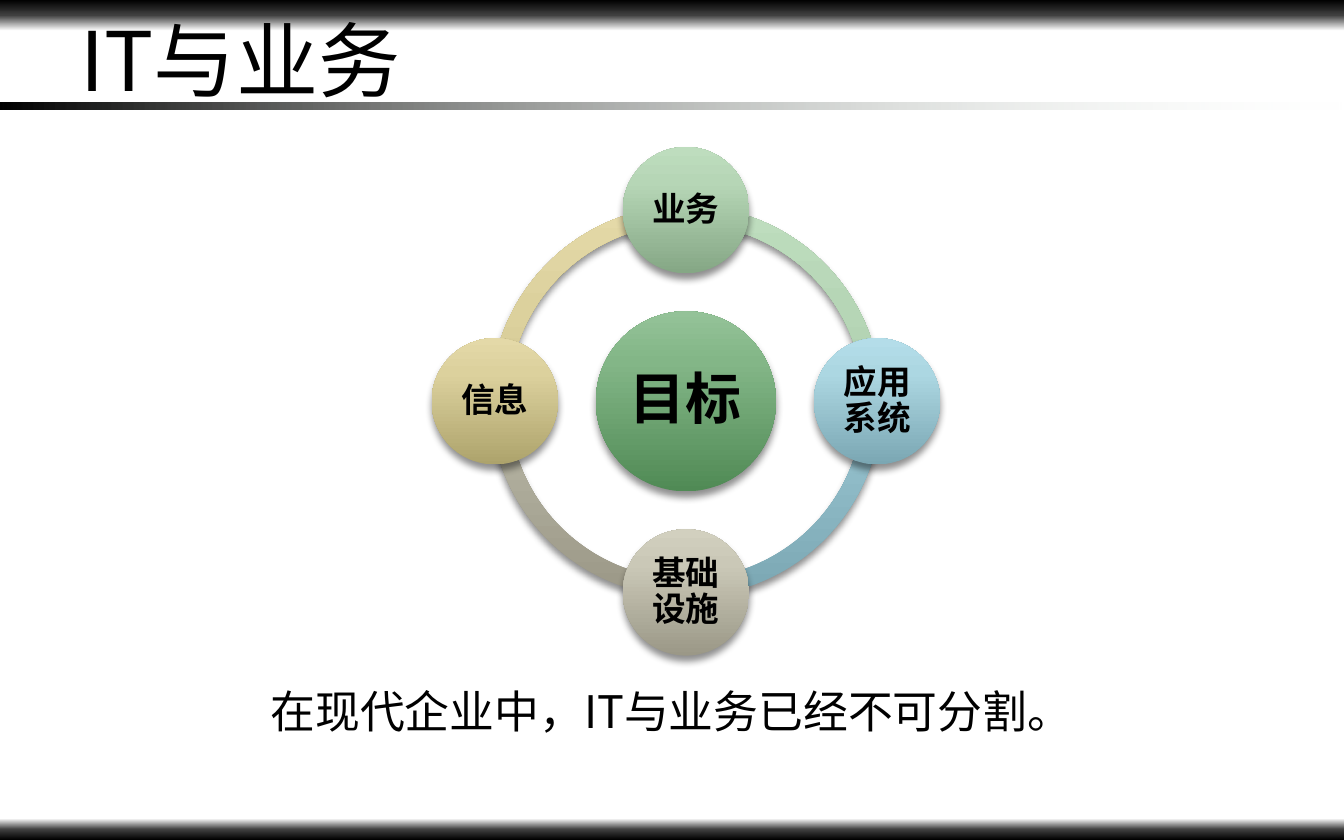
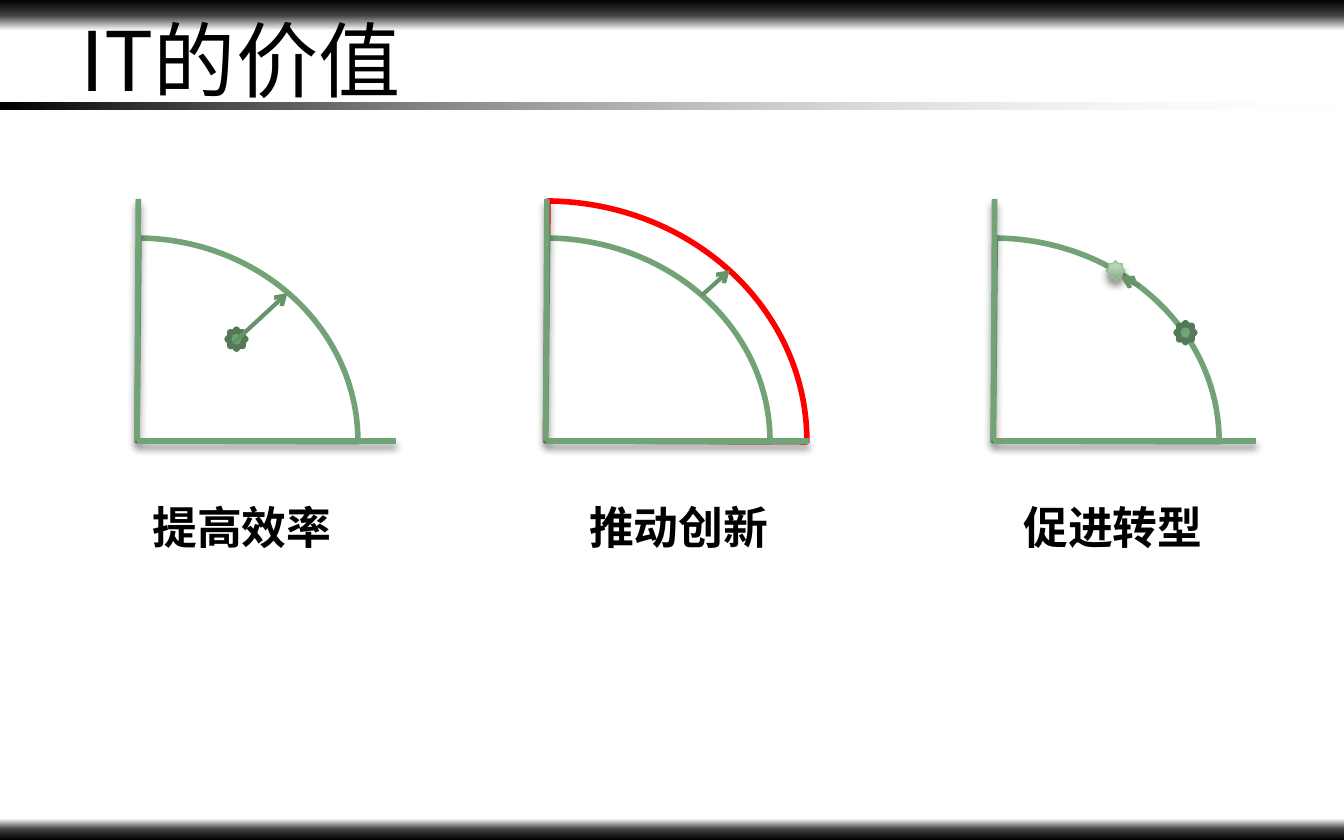
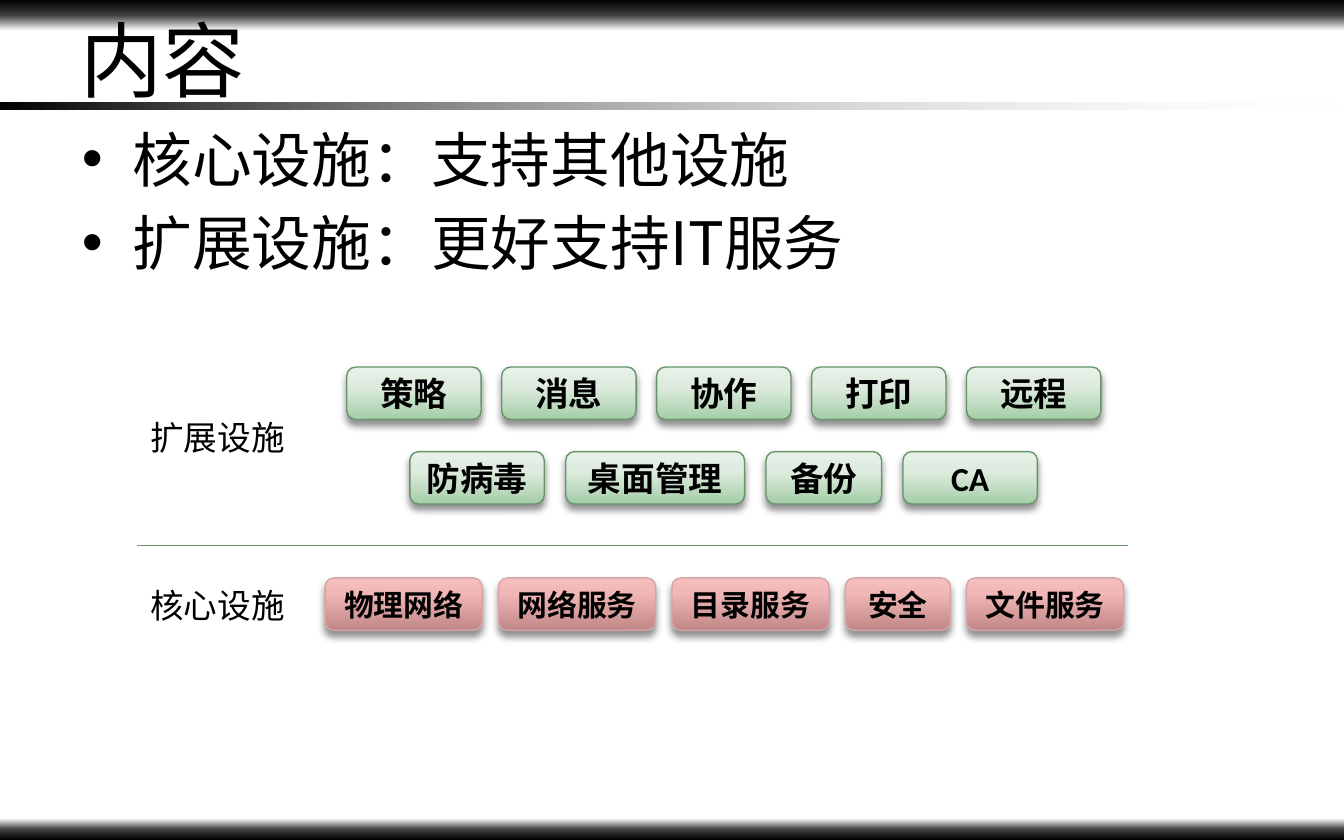
from dataclasses import dataclass
from math import cos, radians, sin

from lxml import etree
from pptx import Presentation
from pptx.dml.color import RGBColor
from pptx.enum.shapes import MSO_CONNECTOR, MSO_SHAPE
from pptx.enum.text import MSO_ANCHOR, MSO_AUTO_SIZE, PP_ALIGN
from pptx.oxml.ns import qn
from pptx.util import Pt

RECT, ROUNDED, CIRCLE = MSO_SHAPE.RECTANGLE, MSO_SHAPE.ROUNDED_RECTANGLE, MSO_SHAPE.OVAL
ARC, PIE, STAR = MSO_SHAPE.BLOCK_ARC, MSO_SHAPE.PIE, MSO_SHAPE.STAR_8_POINT
STRAIGHT = MSO_CONNECTOR.STRAIGHT
MIDDLE, TOP = MSO_ANCHOR.MIDDLE, MSO_ANCHOR.TOP
LEFT, CENTER = PP_ALIGN.LEFT, PP_ALIGN.CENTER
FIXED, GROW = MSO_AUTO_SIZE.NONE, MSO_AUTO_SIZE.SHAPE_TO_FIT_TEXT
TITLE_AND_BODY, TITLE_ONLY = 1, 5


@dataclass(frozen=True)
class Theme:
    cjk: str = "Noto Sans CJK SC"
    latin: str = "Calibri"
    ink: str = "000000"
    paper: str = "FFFFFF"
    green: str = "72A376"
    dark_green: str = "547957"
    line_green: str = "67946B"
    pale_green: str = "A0B9A0"
    pink_line: str = "D3A6A6"
    red: str = "FF0000"
    # Gradients: (position, colour) with an optional opacity, all in percent
    band: tuple = ((0, "000000"), (50, "404040"), (100, "FFFFFF"))
    rule: tuple = ((0, "000000"), (100, "E6EFE7", 0))
    hub: tuple = ((0, "508A55"), (72, "83B687"), (100, "94C298"))
    sage: tuple = ((0, "85A785"), (72, "B6D6B6"), (100, "BEDDBE"))
    blue: tuple = ((0, "7BA7B3"), (72, "ACD7E2"), (100, "B4DDE9"))
    stone: tuple = ((0, "9B9887"), (72, "CAC8B7"), (100, "D2D0BF"))
    sand: tuple = ((0, "ADA36C"), (72, "DCD19D"), (100, "E4D9A8"))
    mint: tuple = ((0, "A4CEA7"), (62, "DEEBDE"), (100, "E7F1E8"))
    pink: tuple = ((0, "C18787"), (72, "F2B8B8"), (100, "F7BEBE"))
    title_size: int = 44
    body_size: int = 32
    hub_size: int = 30
    caption_size: int = 24
    label_size: int = 18
    small_size: int = 16


T = Theme()
SLIDE_W, SLIDE_H = 720, 450

# Content: shared bands as (top, height, gradient, direction)
BANDS = [
    (0, 16.5, T.band, 90),
    (438.5, 11.5, T.band, 270),
    (54.7, 3.9, T.rule, 0),
]

# Content: goal cycle, clockwise from the top
CYCLE_TITLE = "IT与业务"
GOAL = "目标"
CYCLE = [("业务", T.sage), ("应用系统", T.blue), ("基础设施", T.stone), ("信息", T.sand)]
CONCLUSION = "在现代企业中，IT与业务已经不可分割。"

# Content: value diagrams; points are offsets from the corner of the axes
VALUE_TITLE = "IT的价值"
VALUES = [
    dict(label="提高效率", label_dx=56.2, corner=73.4, axis=139,
         curves=[(118.4, 108.7, T.green)],
         dark_stars=[(53.3, -54.5)], light_stars=[],
         arrow=((51.8, -52.6), (80.6, -79.2))),
    dict(label="推动创新", label_dx=71.3, corner=292.3, axis=141,
         curves=[(140, 128.5, T.red), (120.2, 108.7, T.green)],
         dark_stars=[], light_stars=[],
         arrow=((83.5, -77.8), (98.6, -91.4))),
    dict(label="促进转型", label_dx=64.1, corner=532.1, axis=141,
         curves=[(121, 108.7, T.green)],
         dark_stars=[(103, -58)], light_stars=[(65.5, -91.1)],
         arrow=((78.5, -82.8), (68.4, -87.8))),
]

# Content: facilities, rows of (name, width)
FACILITY_TITLE = "内容"
FACILITY_POINTS = ["核心设施：支持其他设施", "扩展设施：更好支持IT服务"]
EXTENDED = dict(fill=T.mint, line=T.line_green, size=T.label_size)
CORE = dict(fill=T.pink, line=T.pink_line, size=T.small_size)
FACILITY_ROWS = [
    dict(left=185.8, top=196.6, gap=11, style=EXTENDED,
         items=[(name, 72) for name in ("策略", "消息", "协作", "打印", "远程")]),
    dict(left=219.6, top=241.9, gap=11.5, style=EXTENDED,
         items=[("防病毒", 72), ("桌面管理", 95.8), ("备份", 61.9), ("CA", 72)]),
    dict(left=174.2, top=309.6, gap=8.7, style=CORE,
         items=[("物理网络", 84.2), ("网络服务", 84.2), ("目录服务", 84.2),
                ("安全", 56.2), ("文件服务", 84.2)]),
]
FACILITY_LABELS = [("扩展设施", 219.6), ("核心设施", 309.6)]


# Drawing helpers
def rgb(colour):
    return RGBColor.from_string(colour)


def add_xml(parent, tag, **attributes):
    return etree.SubElement(parent, qn(tag), {k: str(v) for k, v in attributes.items()})


def paint_gradient(shape, stops, direction):
    shape.fill.gradient()
    shape.fill.gradient_angle = -direction % 360
    stop_list = shape._element.spPr.find(qn("a:gradFill")).find(qn("a:gsLst"))
    stop_list.clear()
    for position, colour, *opacity in stops:
        stop = add_xml(stop_list, "a:gs", pos=position * 1000)
        tone = add_xml(stop, "a:srgbClr", val=colour)
        for alpha in opacity:
            add_xml(tone, "a:alpha", val=alpha * 1000)


def set_effects(shape, shadow):
    properties = shape._element.spPr
    effects = properties.find(qn("a:effectLst"))
    if effects is None:
        effects = add_xml(properties, "a:effectLst")
    if shadow:
        outer = add_xml(effects, "a:outerShdw", blurRad=Pt(4), dist=Pt(3),
                        dir=90 * 60000, algn="ctr", rotWithShape=0)
        add_xml(add_xml(outer, "a:srgbClr", val="000000"), "a:alpha", val=43000)


def draw(shapes, kind, box, fill, line=None, weight=0.75, shadow=False,
         direction=270, adjust=()):
    shape = shapes.add_shape(kind, *map(Pt, box))
    for i, value in enumerate(adjust):
        shape.adjustments[i] = value
    if isinstance(fill, str):
        shape.fill.solid()
        shape.fill.fore_color.rgb = rgb(fill)
    else:
        paint_gradient(shape, fill, direction)
    if line:
        shape.line.color.rgb = rgb(line)
        shape.line.width = Pt(weight)
    else:
        shape.line.fill.background()
    shape.shadow.inherit = False
    set_effects(shape, shadow)
    return shape


def connect(shapes, start, end, colour, weight, shadow=False, arrow=False):
    connector = shapes.add_connector(STRAIGHT, *map(Pt, (*start, *end)))
    connector.line.color.rgb = rgb(colour)
    connector.line.width = Pt(weight)
    if arrow:
        add_xml(connector.line._get_or_add_ln(), "a:tailEnd", type="arrow")
    set_effects(connector, shadow)


def centred(x, y, width, height):
    return x - width / 2, y - height / 2, width, height


def write(shape, lines, size, font=T.cjk, bold=False, align=CENTER, anchor=MIDDLE,
          spacing=None, inset=None, wrap=True, fit=FIXED):
    frame = shape.text_frame
    frame.text = "\n".join(lines)
    frame.word_wrap, frame.auto_size, frame.vertical_anchor = wrap, fit, anchor
    if inset is not None:
        frame.margin_left = frame.margin_right = Pt(inset)
        frame.margin_top = frame.margin_bottom = Pt(inset)
    for paragraph in frame.paragraphs:
        paragraph.alignment = align
        if spacing:
            paragraph.line_spacing = spacing
        style = paragraph.font
        style.name, style.size, style.bold = font, Pt(size), bold
        style.color.rgb = rgb(T.ink)
        defaults = paragraph._p.pPr.find(qn("a:defRPr"))
        add_xml(defaults, "a:ea", typeface=T.cjk)


def add_text(slide, box, text, size, **options):
    write(slide.shapes.add_textbox(*map(Pt, box)), [text], size, fit=GROW, **options)


def place(shape, box):
    shape.left, shape.top, shape.width, shape.height = map(Pt, box)


def add_slide(deck, layout, title):
    slide = deck.slides.add_slide(deck.slide_layouts[layout])
    place(slide.shapes.title, (36, 12.2, 648, 38.2))
    write(slide.shapes.title, [title], T.title_size, align=LEFT)
    return slide


def add_bands(deck, slide):
    """Draw the bands on a slide, then move them to the back of the master."""
    master_tree = deck.slide_master.shapes._spTree
    for i, (top, height, stops, direction) in enumerate(BANDS):
        band = draw(slide.shapes, RECT, (0, top, SLIDE_W, height), stops,
                    direction=direction)._element
        band.nvSpPr.cNvPr.set("id", str(100 + i))
        master_tree.insert(2 + i, band)


# Slides
def build_cycle(slide):
    x, y, orbit, ring, satellite, hub = 367.5, 215, 102.4, 209.5, 67.7, 96.5
    step = 360 / len(CYCLE)
    stations = [(270 + i * step, name, fill) for i, (name, fill) in enumerate(CYCLE)]
    group = slide.shapes.add_group_shape().shapes
    for angle, _, fill in reversed(stations):
        start, end = angle % 360, (angle + step) % 360
        # Angles are stored as 60000ths of a degree, adjustments as 100000ths
        draw(group, ARC, centred(x, y, ring, ring), fill, shadow=True,
             adjust=(start * 0.6, end * 0.6, 0.046))
    core = draw(group, CIRCLE, centred(x, y, hub, hub), T.hub, shadow=True)
    write(core, [GOAL], T.hub_size, T.latin, True, spacing=0.9, inset=2.9)
    for angle, name, fill in stations:
        turn = radians(angle)
        spot = centred(x + orbit * cos(turn), y + orbit * sin(turn), satellite, satellite)
        write(draw(group, CIRCLE, spot, fill, shadow=True), [name], T.label_size,
              T.latin, True, spacing=0.9, inset=2)
    add_text(slide, (44.6, 362.9, 630, 36), CONCLUSION, T.caption_size)


def build_values(slide):
    base, axis_top, star = 236.2, 106.6, (10.1, 10.8)
    for value in VALUES:
        corner = value["corner"]
        group = slide.shapes.add_group_shape().shapes

        def at(point):
            return corner + point[0], base + point[1]

        for radius_x, radius_y, colour in value["curves"]:
            draw(group, PIE, centred(corner, base, 2 * radius_x, 2 * radius_y),
                 T.paper, colour, 3, adjust=(162.34, 0.117))
        for end in ((corner + 0.7, axis_top), (corner + value["axis"], base)):
            connect(group, (corner, base), end, T.green, 3, shadow=True)
        for point in value["dark_stars"]:
            draw(group, STAR, centred(*at(point), *star), T.green, T.dark_green, 3)
        for point in value["light_stars"]:
            draw(group, STAR, centred(*at(point), *star), T.sage, T.pale_green, shadow=True)
        start, end = map(at, value["arrow"])
        connect(group, start, end, T.line_green, 2.25, arrow=True)
        add_text(slide, (corner + value["label_dx"] - 56.2, 264.2, 112.4, 36),
                 value["label"], T.caption_size, bold=True, anchor=TOP, wrap=False)


def build_facilities(slide):
    points = slide.placeholders[1]
    place(points, (36.7, 61.9, 648, 95.8))
    write(points, FACILITY_POINTS, T.body_size, align=LEFT, anchor=TOP)
    for row in FACILITY_ROWS:
        left, style = row["left"], row["style"]
        for name, width in row["items"]:
            button = draw(slide.shapes, ROUNDED, (left, row["top"], width, 28.1),
                          style["fill"], style["line"], shadow=True)
            write(button, [name], style["size"], T.latin, True)
            left += width + row["gap"]
    connect(slide.shapes, (73.4, 292.4), (604.1, 292.4), T.line_green, 0.75)
    for name, top in FACILITY_LABELS:
        add_text(slide, (73.4, top, 87.1, 28.8), name, T.label_size,
                 align=LEFT, anchor=TOP, wrap=False)


def main():
    deck = Presentation()
    deck.slide_width, deck.slide_height = Pt(SLIDE_W), Pt(SLIDE_H)
    cycle = add_slide(deck, TITLE_ONLY, CYCLE_TITLE)
    add_bands(deck, cycle)
    build_cycle(cycle)
    build_values(add_slide(deck, TITLE_ONLY, VALUE_TITLE))
    build_facilities(add_slide(deck, TITLE_AND_BODY, FACILITY_TITLE))
    deck.save("out.pptx")


if __name__ == "__main__":
    main()
